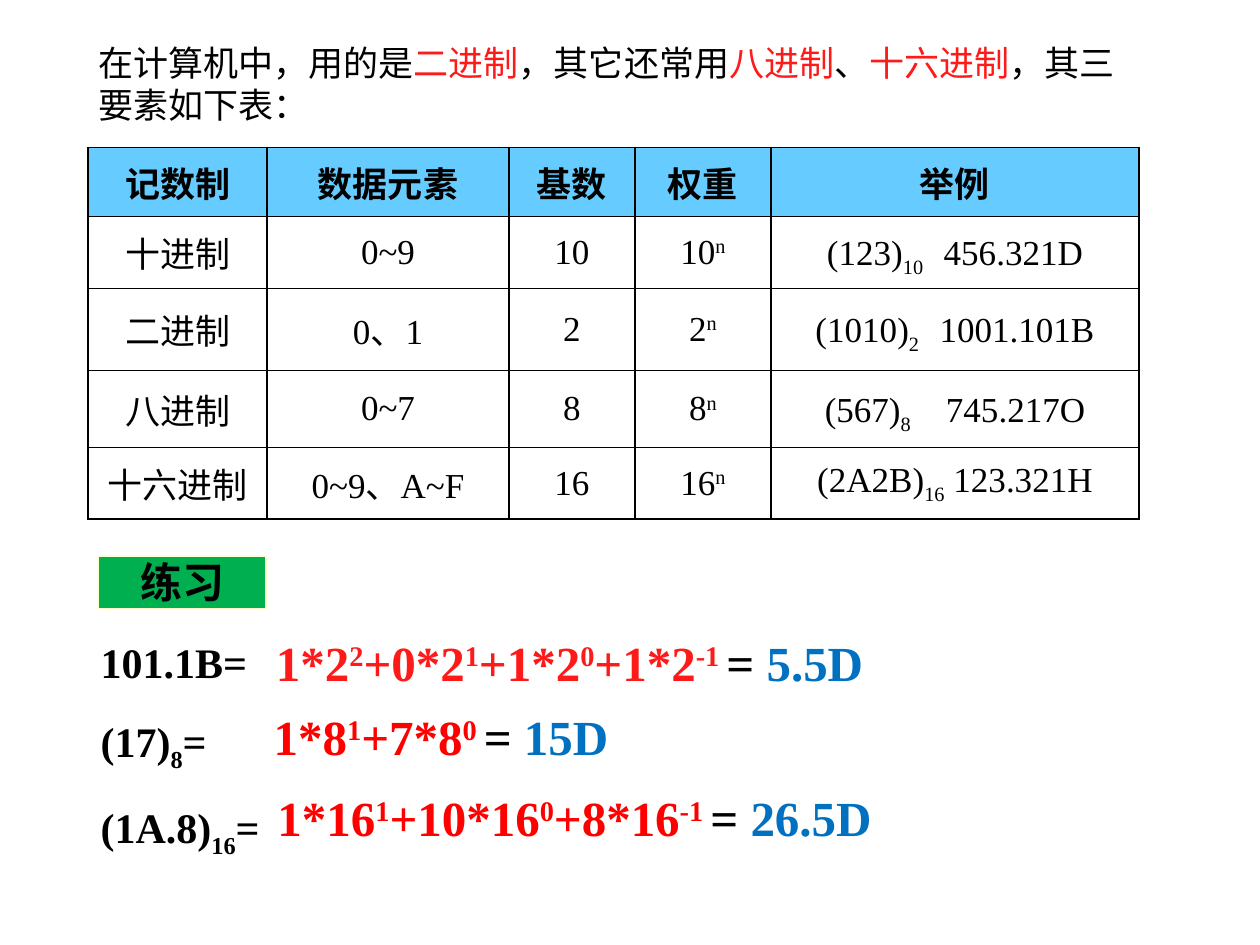
from lxml import etree
from pptx import Presentation
from pptx.dml.color import RGBColor
from pptx.enum.shapes import MSO_SHAPE
from pptx.enum.text import MSO_ANCHOR, PP_ALIGN
from pptx.oxml.ns import qn
from pptx.util import Inches, Pt

CENTER, LEFT = PP_ALIGN.CENTER, PP_ALIGN.LEFT
MIDDLE, TOP = MSO_ANCHOR.MIDDLE, MSO_ANCHOR.TOP
RECTANGLE = MSO_SHAPE.RECTANGLE

BLACK = RGBColor(0x00, 0x00, 0x00)
RED = RGBColor(0xFF, 0x00, 0x00)
SOFT_RED = RGBColor(0xFF, 0x1A, 0x1A)
BLUE = RGBColor(0x00, 0x70, 0xC0)
GREEN = RGBColor(0x00, 0xB0, 0x50)
CREAM = RGBColor(0xFF, 0xFF, 0xCC)
HEADER_BLUE = RGBColor(0x66, 0xCC, 0xFF)

FONT = "Times New Roman"
BASELINES = {"^": "30000", "_": "-25000"}

INTRO = [
    ("在计算机中，用的是", BLACK), ("二进制", SOFT_RED), ("，其它还常用", BLACK),
    ("八进制", SOFT_RED), ("、", BLACK), ("十六进制", SOFT_RED),
    ("，其三要素如下表：", BLACK),
]

# In all texts "|" separates runs; a run led by ^ is raised, by _ lowered.
# The wide gaps between examples are single ideographic spaces.
SYSTEMS = [
    ["记数制", "数据元素", "基数", "权重", "举例"],
    ["十进制", "0~9", "10", "10|^n", "(123)|_10　|456.321D"],
    ["二进制", "0、1", "2", "2|^n", "(1010)|_2　|1001.101B"],
    ["八进制", "0~7", "8", "8|^n", "(567)|_8|　745.217O"],
    ["十六进制", "0~9、A~F", "16", "16|^n", "(2A2B)|_16| 123.321H"],
]
COLUMN_WIDTHS = [1.42, 1.92, 1, 1.08, 2.92]
ROW_HEIGHTS = [0.55, 0.57, 0.65, 0.61, 0.57]

QUESTIONS = ["101.1B=", "(17)|_8|=", "(1A.8)|_16|="]
ANSWERS = [
    ((2.02, 5, 5, 0.5), "1*2|^2|+0*2|^1|+1*2|^0|+1*2|^-1 ", SOFT_RED, "5.5D"),
    ((2, 5.59, 3, 0.5), "1*8|^1|+7*8|^0 ", RED, "15D"),
    ((2.06, 6.23, 5, 0.5), "1*16|^1|+10*16|^0|+8*16|^-1 ", RED, "26.5D"),
]


def write(paragraph, pieces, size, bold=False, align=LEFT):
    """Fill a paragraph from (marked text, colour) pieces."""
    paragraph.alignment = align
    font = paragraph.font
    font.name, font.size, font.bold = FONT, Pt(size), bold
    for text, color in pieces:
        for part in text.split("|"):
            run = paragraph.add_run()
            run.text = part.lstrip("^_")
            run.font.color.rgb = color
            if part[0] in BASELINES:
                run.font._element.set("baseline", BASELINES[part[0]])


def add_text_box(slide, box, wrap=False, anchor=MIDDLE):
    frame = slide.shapes.add_textbox(*map(Inches, box)).text_frame
    frame.word_wrap, frame.vertical_anchor = wrap, anchor
    return frame


def set_borders(cell):
    properties = cell._tc.get_or_add_tcPr()
    for index, side in enumerate(("a:lnL", "a:lnR", "a:lnT", "a:lnB")):
        line = etree.Element(qn(side), w=str(Pt(1)))
        fill = etree.SubElement(line, qn("a:solidFill"))
        etree.SubElement(fill, qn("a:srgbClr"), val=str(BLACK))
        properties.insert(index, line)


def add_systems_table(slide, box):
    table = slide.shapes.add_table(
        len(SYSTEMS), len(COLUMN_WIDTHS), *map(Inches, box)).table
    for column, width in zip(table.columns, COLUMN_WIDTHS):
        column.width = Inches(width)
    for row, height, texts in zip(table.rows, ROW_HEIGHTS, SYSTEMS):
        row.height = Inches(height)
        is_header = texts is SYSTEMS[0]
        for cell, text in zip(row.cells, texts):
            cell.vertical_anchor = MIDDLE
            if is_header:
                cell.fill.solid()
                cell.fill.fore_color.rgb = HEADER_BLUE
            else:
                cell.fill.background()
            set_borders(cell)
            write(cell.text_frame.paragraphs[0], [(text, BLACK)], 20,
                  is_header, CENTER)


def add_intro(slide, box):
    frame = add_text_box(slide, box, wrap=True, anchor=TOP)
    write(frame.paragraphs[0], INTRO, 20)


def add_exercise_label(slide, box):
    label = slide.shapes.add_shape(RECTANGLE, *map(Inches, box))
    label.shadow.inherit = False
    label.fill.solid()
    label.fill.fore_color.rgb = GREEN
    label.line.color.rgb = CREAM
    label.line.width = Pt(1)
    label.text_frame.word_wrap = False
    label.text_frame.vertical_anchor = MIDDLE
    write(label.text_frame.paragraphs[0], [("练习", BLACK)], 24, True, CENTER)


def add_questions(slide, box):
    frame = add_text_box(slide, box)
    for index, question in enumerate(QUESTIONS):
        paragraph = frame.add_paragraph() if index else frame.paragraphs[0]
        paragraph.line_spacing = 1.5
        write(paragraph, [(question, BLACK)], 24, True)


def add_answer(slide, box, expansion, color, result):
    frame = add_text_box(slide, box)
    pieces = [(expansion, color), ("= ", BLACK), (result, BLUE)]
    write(frame.paragraphs[0], pieces, 28, True, CENTER)


def main():
    deck = Presentation()
    deck.slide_width, deck.slide_height = Inches(10), Inches(7.5)
    slide = deck.slides.add_slide(deck.slide_layouts[6])
    add_systems_table(slide, (0.7, 1.17, 8.34, 2.95))
    add_exercise_label(slide, (0.78, 4.41, 1.33, 0.42))
    add_questions(slide, (0.7, 4.71, 1.67, 2.25))
    for answer in ANSWERS:
        add_answer(slide, *answer)
    add_intro(slide, (0.68, 0.28, 8.36, 0.77))
    deck.save("out.pptx")


if __name__ == "__main__":
    main()
